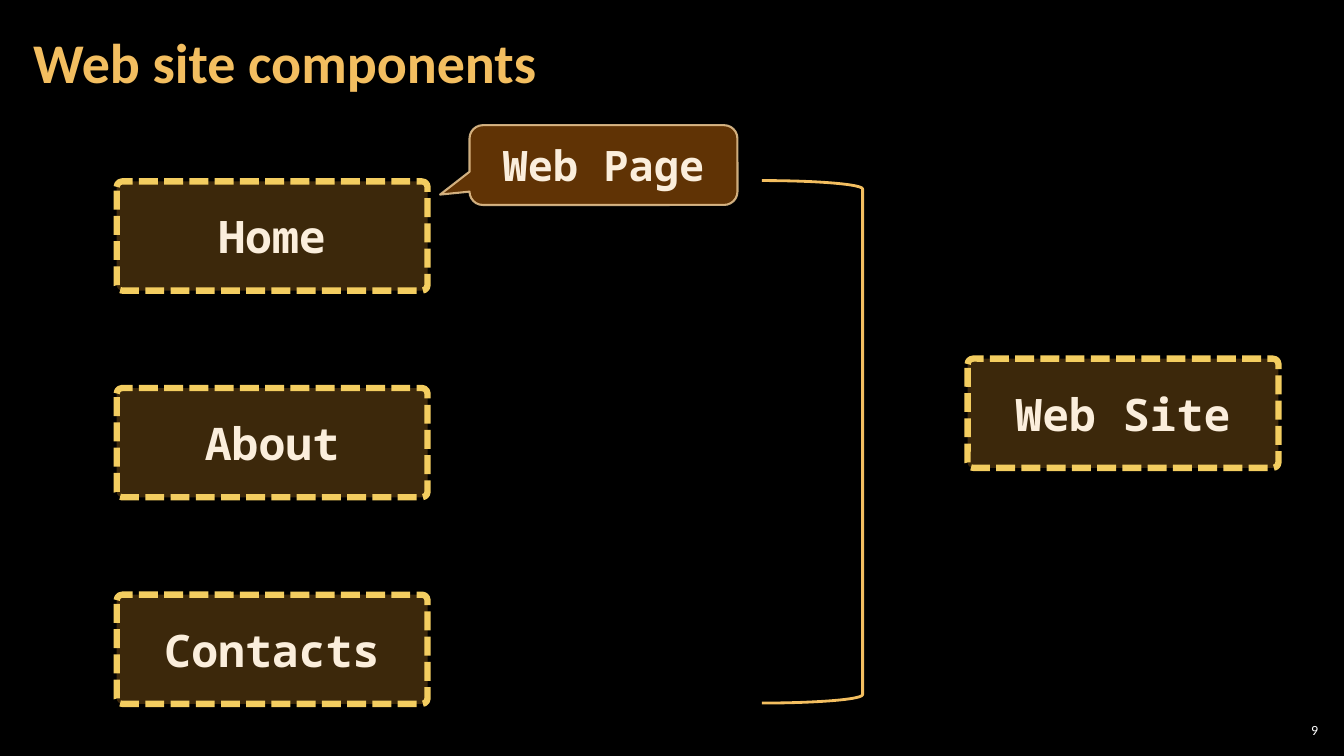
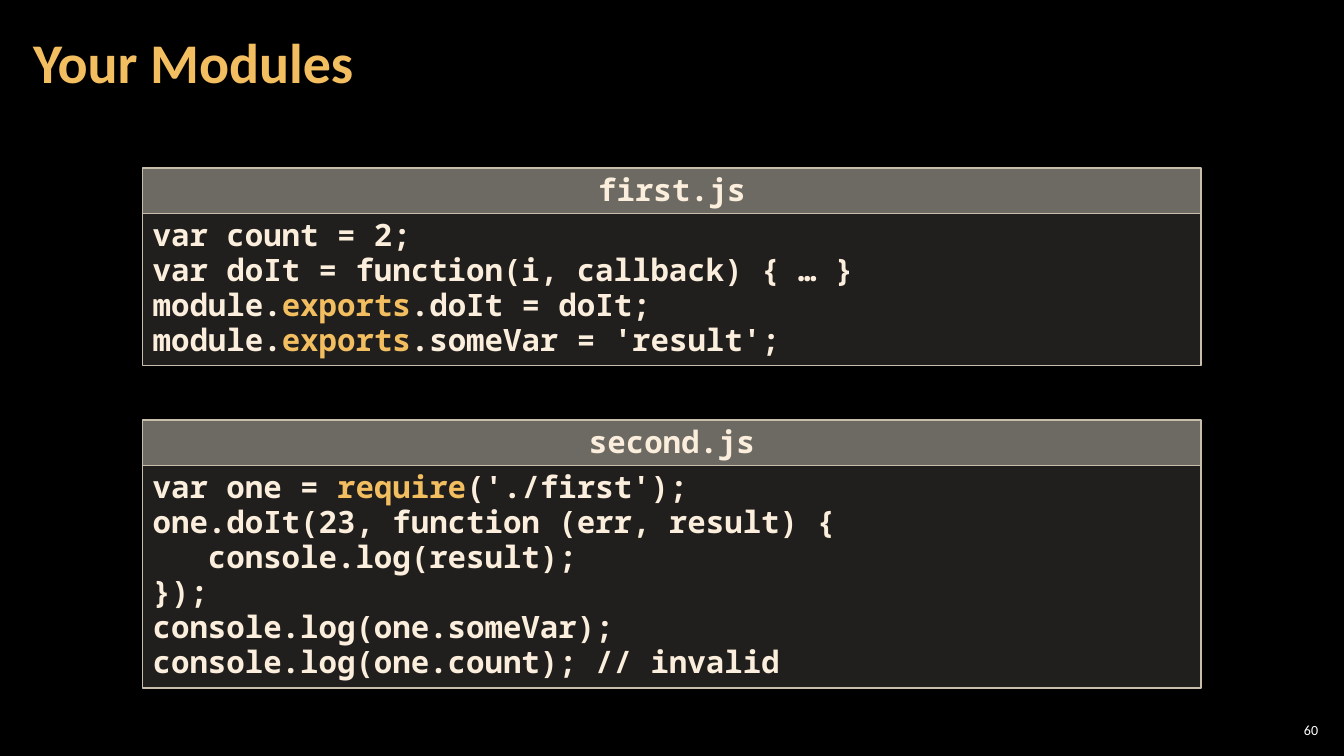
from dataclasses import dataclass

import pptx
import pptx.dml.color
import pptx.enum.dml
import pptx.enum.shapes
import pptx.enum.text
import pptx.oxml
import pptx.oxml.ns
import pptx.util

Align = pptx.enum.text.PP_ALIGN
Anchor = pptx.enum.text.MSO_ANCHOR
Dash = pptx.enum.dml.MSO_LINE
Preset = pptx.enum.shapes.MSO_SHAPE


@dataclass(frozen=True)
class Theme:
    background: str = "000000"
    accent: str = "F3BE60"
    text: str = "FBEEDC"
    number: str = "FFFFFF"
    box_fill: str = "F0A22E"
    box_line: str = "F3CD60"
    callout_fill: str = "663606"
    callout_line: str = "F8D49E"
    panel_fill: str = "D9D5C7"
    panel_line: str = "C7BFAC"
    sans: str = "Calibri"
    mono: str = "Noto Sans Mono"
    title_size: float = 40
    box_size: float = 32
    callout_size: float = 30
    code_size: float = 22
    number_size: float = 10


@dataclass(frozen=True)
class Area:
    """A rectangle in columns and rows of the 16 by 9 slide grid."""
    column: float
    row: float
    columns: float
    rows: float


@dataclass(frozen=True)
class Paint:
    fill: str | None
    opacity: float
    line: str
    weight: float
    dash: Dash = Dash.SOLID
    line_opacity: float = 100


@dataclass(frozen=True)
class Listing:
    name: str
    keyword: str
    lines: tuple[str, ...]


THEME = Theme()
COLUMNS, ROWS = 16, 9
CELL = pptx.util.Inches(7.5) / ROWS

TITLE_AREA = Area(0.25, 0.05, 12.56, 1.45)
NUMBER_AREA = Area(15.18, 8.57, 0.56, 0.25)

BOX_PAINT = Paint(THEME.box_fill, 25, THEME.box_line, 4.5, Dash.SQUARE_DOT)
CALLOUT_PAINT = Paint(THEME.callout_fill, 95, THEME.callout_line, 1.5, line_opacity=80)
BRACKET_PAINT = Paint(None, 100, THEME.accent, 2)
HEADER_PAINT = Paint(THEME.panel_fill, 50, THEME.panel_line, 1)
CODE_PAINT = Paint(THEME.panel_fill, 15, THEME.panel_line, 1)

PAGES = ("Home", "About", "Contacts")
PAGE_COLUMN, PAGE_ROW, PAGE_PITCH = 1.39, 2.16, 2.46
BOX_COLUMNS, BOX_ROWS = 3.7, 1.3

LISTINGS = (
    Listing("first.js", "exports", (
        "var count = 2;",
        "var doIt = function(i, callback) { … }",
        "module.exports.doIt = doIt;",
        "module.exports.someVar = 'result';",
    )),
    Listing("second.js", "require", (
        "var one = require('./first');",
        "one.doIt(23, function (err, result) {",
        "   console.log(result);",
        "});",
        "console.log(one.someVar);",
        "console.log(one.count); // invalid",
    )),
)
PANEL_COLUMN, PANEL_ROW, PANEL_COLUMNS = 1.7, 2, 12.6
HEADER_ROWS, CODE_LINE_ROWS, CODE_PADDING, PANEL_GAP = 0.54, 0.42, 0.13, 0.65


def rgb(value: str) -> pptx.dml.color.RGBColor:
    return pptx.dml.color.RGBColor.from_string(value)


def emu(area: Area) -> tuple[int, ...]:
    return tuple(round(length * CELL)
                 for length in (area.column, area.row, area.columns, area.rows))


def style_font(font, name: str, size: float, color: str, bold: bool = True) -> None:
    font.name = name
    font.size = pptx.util.Pt(size)
    font.bold = bold
    font.color.rgb = rgb(color)


def set_insets(frame, side: float, edge: float) -> None:
    frame.margin_left = frame.margin_right = pptx.util.Inches(side)
    frame.margin_top = frame.margin_bottom = pptx.util.Inches(edge)


def set_opacity(parent, percent: float) -> None:
    """Make the solid fill directly inside an spPr or ln element translucent."""
    color = parent.find("a:solidFill/a:srgbClr", {"a": pptx.oxml.ns.nsdecls("a").split('"')[1]})
    alpha = pptx.oxml.parse_xml(
        f'<a:alpha {pptx.oxml.ns.nsdecls("a")} val="{round(percent * 1000)}"/>')
    color.append(alpha)


def add_painted(slide, preset: Preset, area: Area, paint: Paint):
    shape = slide.shapes.add_shape(preset, *emu(area))
    shape.shadow.inherit = False
    shape.line.color.rgb = rgb(paint.line)
    shape.line.width = pptx.util.Pt(paint.weight)
    shape.line.dash_style = paint.dash
    properties = shape.element.spPr
    if paint.fill is None:
        shape.fill.background()
    else:
        shape.fill.solid()
        shape.fill.fore_color.rgb = rgb(paint.fill)
        if paint.opacity < 100:
            set_opacity(properties, paint.opacity)
    if paint.line_opacity < 100:
        set_opacity(properties.find(pptx.oxml.ns.qn("a:ln")), paint.line_opacity)
    return shape


def write_label(shape, label: str, size: float) -> None:
    frame = shape.text_frame
    frame.text = label
    frame.word_wrap = True
    frame.vertical_anchor = Anchor.MIDDLE
    paragraph = frame.paragraphs[0]
    paragraph.alignment = Align.CENTER
    style_font(paragraph.runs[0].font, THEME.mono, size, THEME.text)


def add_box(slide, label: str, column: float, row: float) -> None:
    box = add_painted(slide, Preset.ROUNDED_RECTANGLE,
                      Area(column, row, BOX_COLUMNS, BOX_ROWS), BOX_PAINT)
    box.adjustments[0] = 0.05
    write_label(box, label, THEME.box_size)


def write_code(shape, listing: Listing) -> None:
    """Write the lines, with the keyword in the accent colour."""
    frame = shape.text_frame
    frame.word_wrap = True
    frame.vertical_anchor = Anchor.TOP
    for index, line in enumerate(listing.lines):
        paragraph = frame.add_paragraph() if index else frame.paragraphs[0]
        paragraph.alignment = Align.LEFT
        paragraph.line_spacing = 0.95
        for part in filter(None, line.partition(listing.keyword)):
            run = paragraph.add_run()
            run.text = part
            color = THEME.accent if part == listing.keyword else THEME.text
            style_font(run.font, THEME.mono, THEME.code_size, color)


def add_panel(slide, listing: Listing, row: float) -> float:
    """Draw a titled code panel and return the row of its lower edge."""
    code_row = row + HEADER_ROWS
    code_rows = len(listing.lines) * CODE_LINE_ROWS + CODE_PADDING
    code = add_painted(slide, Preset.RECTANGLE,
                       Area(PANEL_COLUMN, code_row, PANEL_COLUMNS, code_rows), CODE_PAINT)
    write_code(code, listing)
    header = add_painted(slide, Preset.RECTANGLE,
                         Area(PANEL_COLUMN, row, PANEL_COLUMNS, HEADER_ROWS), HEADER_PAINT)
    write_label(header, listing.name, THEME.code_size)
    header.text_frame.paragraphs[0].line_spacing = 0.95
    return code_row + code_rows


def add_titled_slide(presentation, heading: str, number: int):
    slide = presentation.slides.add_slide(
        presentation.slide_layouts.get_by_name("Title Only"))
    title = slide.shapes.title
    title.left, title.top, title.width, title.height = emu(TITLE_AREA)
    frame = title.text_frame
    frame.text = heading
    frame.auto_size = pptx.enum.text.MSO_AUTO_SIZE.NONE
    frame.vertical_anchor = Anchor.MIDDLE
    set_insets(frame, 0.12, 0.04)
    paragraph = frame.paragraphs[0]
    paragraph.alignment = Align.LEFT
    paragraph.line_spacing = 0.9
    style_font(paragraph.runs[0].font, THEME.sans, THEME.title_size, THEME.accent)

    footer = slide.shapes.add_textbox(*emu(NUMBER_AREA)).text_frame
    footer.text = str(number)
    footer.word_wrap = True
    footer.vertical_anchor = Anchor.MIDDLE
    set_insets(footer, 0.04, 0.04)
    footer.paragraphs[0].alignment = Align.RIGHT
    style_font(footer.paragraphs[0].runs[0].font, THEME.sans, THEME.number_size,
               THEME.number, bold=False)
    return slide


def build_components(presentation) -> None:
    slide = add_titled_slide(presentation, "Web site components", 9)
    for index, page in enumerate(PAGES):
        add_box(slide, page, PAGE_COLUMN, PAGE_ROW + index * PAGE_PITCH)
    add_painted(slide, Preset.RIGHT_BRACKET, Area(9.07, 2.15, 1.2, 6.22), BRACKET_PAINT)
    add_box(slide, "Web Site", 11.52, 4.27)
    callout = add_painted(slide, Preset.ROUNDED_RECTANGULAR_CALLOUT,
                          Area(5.59, 1.49, 3.19, 0.95), CALLOUT_PAINT)
    callout.adjustments[0] = -0.61
    callout.adjustments[1] = 0.37
    write_label(callout, "Web Page", THEME.callout_size)


def build_modules(presentation) -> None:
    slide = add_titled_slide(presentation, "Your Modules", 60)
    row = PANEL_ROW
    for listing in LISTINGS:
        row = add_panel(slide, listing, row) + PANEL_GAP


def main() -> None:
    presentation = pptx.Presentation()
    presentation.slide_width = round(COLUMNS * CELL)
    presentation.slide_height = round(ROWS * CELL)
    backdrop = presentation.slide_master.background.fill
    backdrop.solid()
    backdrop.fore_color.rgb = rgb(THEME.background)
    build_components(presentation)
    build_modules(presentation)
    presentation.save("out.pptx")


if __name__ == "__main__":
    main()
